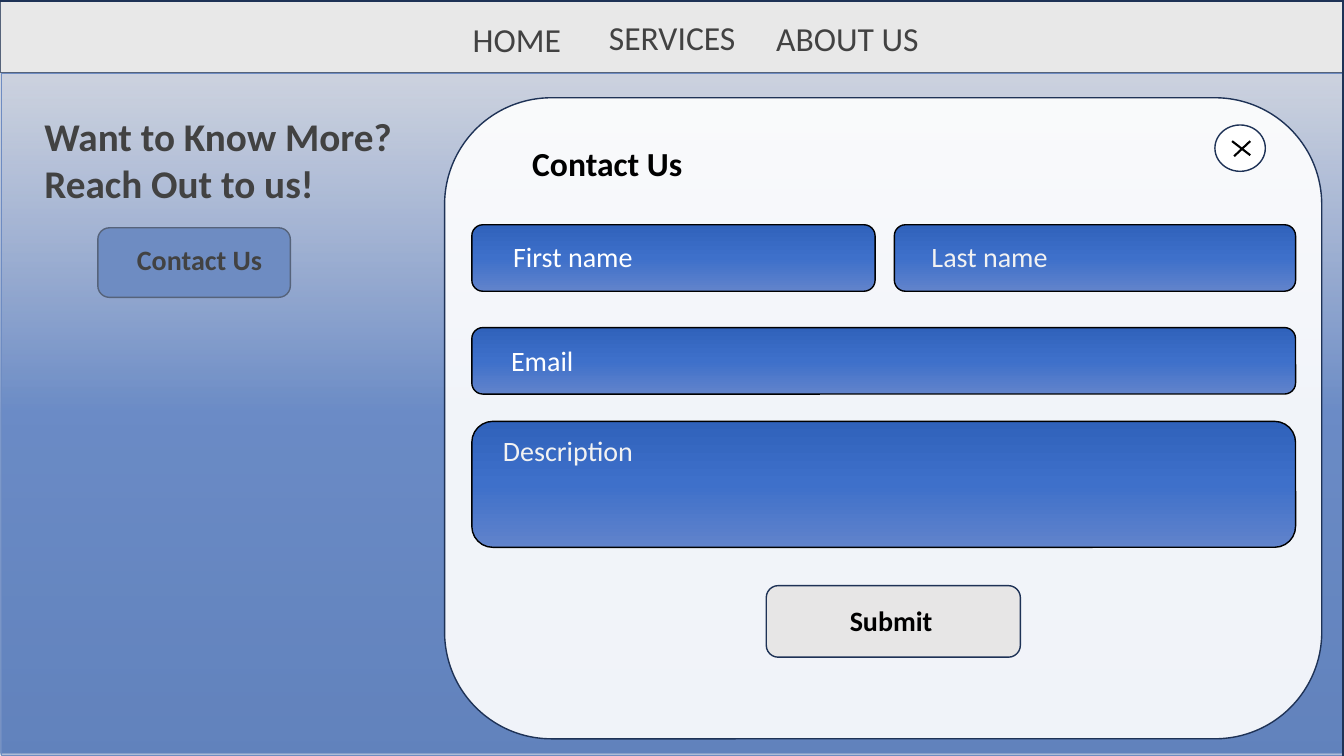
from dataclasses import dataclass
from lxml.etree import SubElement
from pptx import Presentation
from pptx.dml.color import RGBColor as RGB
from pptx.enum.shapes import MSO_CONNECTOR as CONNECTOR, MSO_SHAPE as SHAPE
from pptx.enum.text import MSO_ANCHOR as ANCHOR, MSO_AUTO_SIZE as AUTO, PP_ALIGN as ALIGN
from pptx.oxml.ns import qn
from pptx.util import Inches, Pt


@dataclass(frozen=True)
class Theme:
    font: str = "Calibri"
    ink: str = "000000"
    white: str = "FFFFFF"
    pale: str = "F2F2F2"
    veil: str = "BFBFBF"
    button: str = "E7E6E6"
    accent: str = "4472C4"
    outline: str = "1E3256"
    deep: str = "3062BB"
    mid: str = "3E70CA"
    soft: str = "6183CB"
    heading: int = 28
    large: int = 24
    body: int = 20


class Page:
    """Draws styled elements on one slide."""

    def __init__(self, prs, theme):
        self.theme = theme
        self.slide = prs.slides.add_slide(prs.slide_layouts[5])
        self.shapes = self.slide.shapes

    def shape(self, kind, box, fill, line=None, width=1, alpha=None):
        sp = self.shapes.add_shape(kind, *map(Inches, box))
        sp.shadow.inherit = False
        if isinstance(fill, str):
            sp.fill.solid()
            sp.fill.fore_color.rgb = RGB.from_string(fill)
            if alpha is not None:
                color = sp._element.spPr.find(qn("a:solidFill"))[0]
                self.set_alpha(color, alpha)
        else:
            self.gradient(sp, fill)
        sp.line.color.rgb = RGB.from_string(line or self.theme.outline)
        sp.line.width = Pt(width)
        return sp

    def set_alpha(self, color, percent):
        SubElement(color, qn("a:alpha")).set("val", str(percent * 1000))

    def gradient(self, sp, stops):
        sp.fill.gradient()
        sp.fill.gradient_angle = 270
        gs_list = sp._element.spPr.find(qn("a:gradFill")).find(qn("a:gsLst"))
        for old in list(gs_list):
            gs_list.remove(old)
        for position, color, alpha in stops:
            gs = SubElement(gs_list, qn("a:gs"))
            gs.set("pos", str(position * 1000))
            rgb = SubElement(gs, qn("a:srgbClr"))
            rgb.set("val", color)
            if alpha < 100:
                self.set_alpha(rgb, alpha)

    def add_lines(self, sp, lines, size, color, bold):
        tf = sp.text_frame
        tf.word_wrap = True
        tf.auto_size = AUTO.SHAPE_TO_FIT_TEXT
        tf.vertical_anchor = ANCHOR.TOP
        for i, line in enumerate(lines):
            p = tf.add_paragraph() if i else tf.paragraphs[0]
            p.alignment = ALIGN.LEFT
            p.line_spacing = 1.0
            p.space_before = Pt(0)
            r = p.add_run()
            r.text = line
            r.font.name = self.theme.font
            r.font.size = Pt(size)
            r.font.bold = bold
            r.font.color.rgb = RGB.from_string(color)

    def text(self, box, line, size, color=None, bold=False):
        sp = self.shapes.add_textbox(*map(Inches, box))
        self.add_lines(sp, [line], size, color or self.theme.ink, bold)

    def title(self, box, lines):
        sp = self.shapes.title
        sp.left, sp.top, sp.width, sp.height = map(Inches, box)
        self.add_lines(sp, lines, self.theme.heading, self.theme.ink, True)
        self.shapes._spTree.append(sp._element)

    def line(self, start, end):
        c = self.shapes.add_connector(CONNECTOR.STRAIGHT, *map(Inches, start + end))
        c.line.color.rgb = RGB.from_string(self.theme.ink)
        c.line.width = Pt(1.5)
        SubElement(c._element.spPr, qn("a:effectLst"))

    def field(self, box, label, label_box, color):
        t = self.theme
        stops = [(0, t.deep, 100), (50, t.mid, 100), (100, t.soft, 100)]
        self.shape(SHAPE.ROUNDED_RECTANGLE, box, stops, t.ink)
        self.text(label_box, label, t.body, color)


def main():
    prs = Presentation()
    prs.slide_width, prs.slide_height = Inches(13.33), Inches(7.5)
    t = Theme()
    page = Page(prs, t)

    page.shape(SHAPE.RECTANGLE, (0, -0.01, 13.33, 0.73), t.white)
    backdrop = [(0, t.soft, 26), (50, t.mid, 100), (100, t.deep, 100)]
    page.shape(SHAPE.RECTANGLE, (0.01, 0.73, 13.33, 6.76), backdrop, t.accent, 0.5)
    page.title((0.34, 1.06, 4.07, 1.04), ["Want to Know More?", "Reach Out to us!"])
    page.shape(SHAPE.ROUNDED_RECTANGLE, (0.97, 2.26, 1.91, 0.69), t.accent)
    page.text((1.26, 2.36, 1.63, 0.44), "Contact Us", t.body, bold=True)
    menu = [("HOME", 4.59, 0.14, 1.17), ("SERVICES", 5.94, 0.12, 1.72),
            ("ABOUT US", 7.6, 0.13, 2.01)]
    for label, left, top, width in menu:
        page.text((left, top, width, 0.5), label, t.large)
    page.shape(SHAPE.RECTANGLE, (-0.01, 0.01, 13.33, 7.51), t.veil, alpha=35)

    page.shape(SHAPE.ROUNDED_RECTANGLE, (4.41, 0.97, 8.7, 6.36), t.white, alpha=91)
    page.shape(SHAPE.OVAL, (12.05, 1.24, 0.5, 0.46), t.white)
    page.line((12.4, 1.54), (12.22, 1.4))
    page.line((12.4, 1.4), (12.24, 1.55))
    page.text((5.18, 1.37, 2.11, 0.5), "Contact Us", t.large, bold=True)

    fields = [
        ("First name", (4.68, 2.23, 4, 0.66), (4.99, 2.33, 1.91, 0.44), t.white),
        ("Last name", (8.87, 2.23, 3.98, 0.66), (9.14, 2.33, 1.71, 0.44), t.pale),
        ("Email", (4.68, 3.25, 8.17, 0.66), (4.97, 3.36, 2.91, 0.44), t.white),
        ("Description", (4.68, 4.18, 8.17, 1.25), (4.89, 4.25, 1.84, 0.44), t.pale),
    ]
    for label, box, label_box, color in fields:
        page.field(box, label, label_box, color)

    page.shape(SHAPE.FLOWCHART_ALTERNATE_PROCESS, (7.6, 5.81, 2.52, 0.71), t.button)
    page.text((8.33, 5.94, 1.63, 0.44), "Submit", t.body, bold=True)
    prs.save("out.pptx")


if __name__ == "__main__":
    main()
